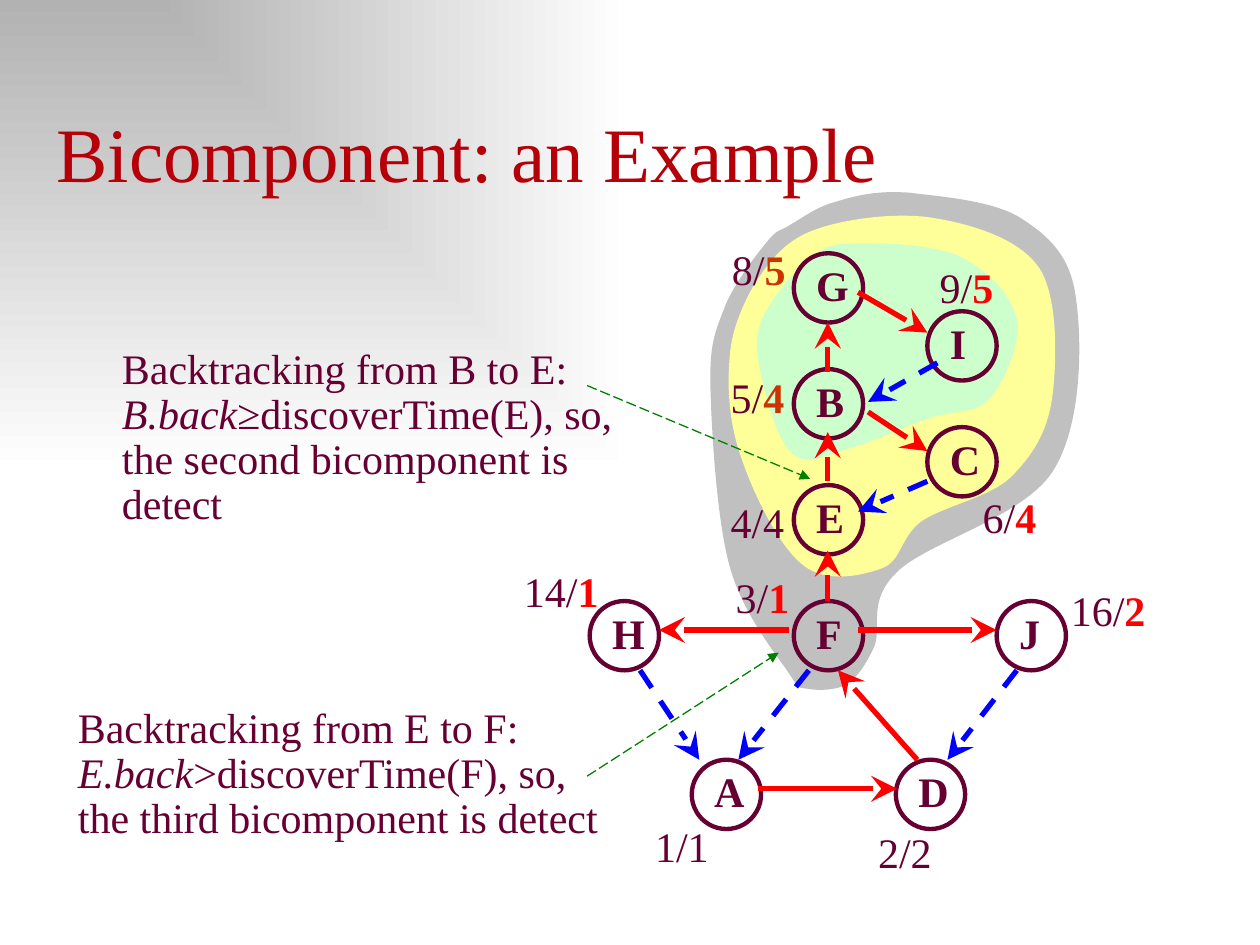
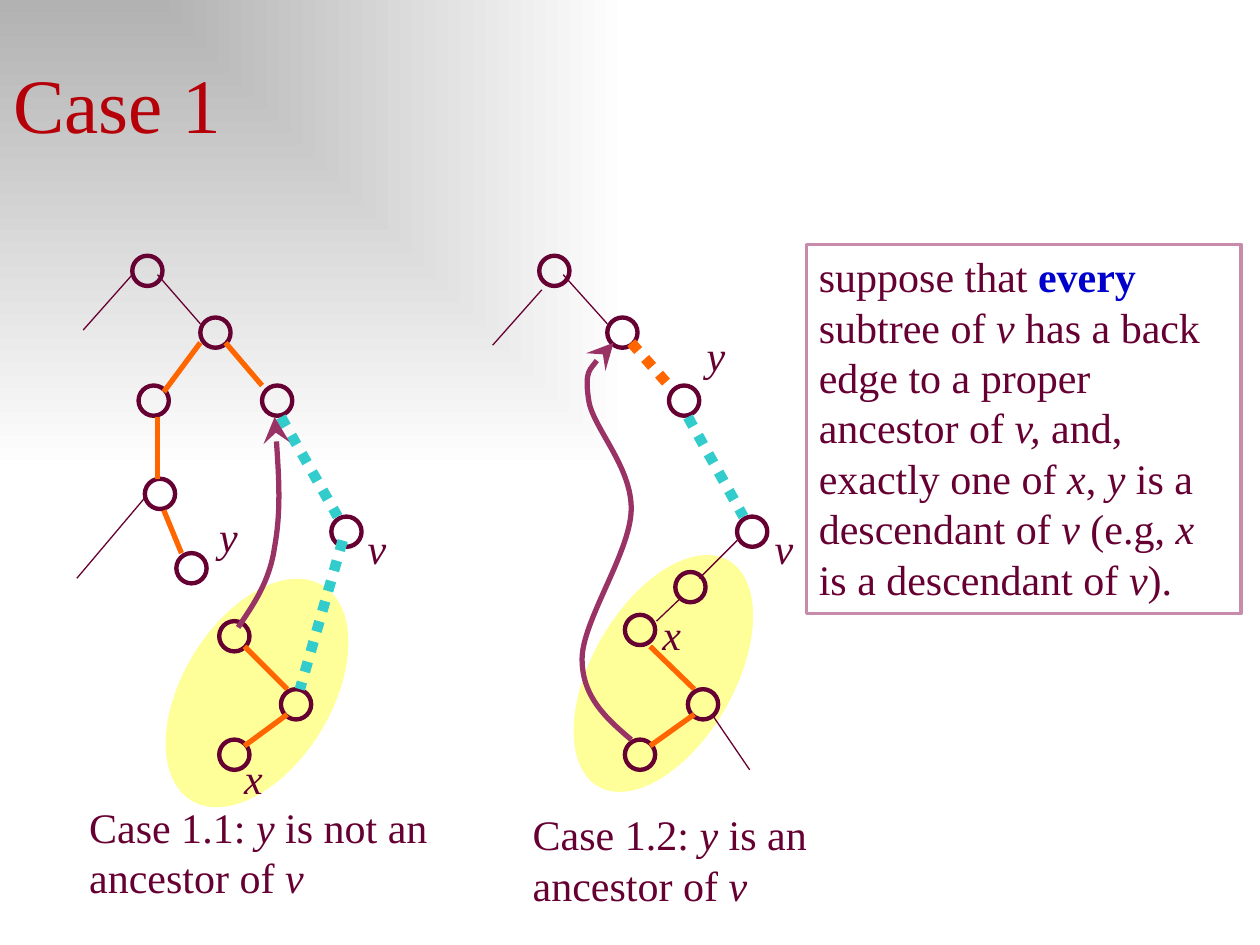
"""Build two slides on biconnected components: a worked example and a proof case."""
from lxml import etree
from pptx import Presentation
from pptx.dml.color import RGBColor
from pptx.enum import dml, shapes as kinds, text
from pptx.oxml.ns import qn
from pptx.util import Inches, Pt

FONT = "Times New Roman"
PLUM = RGBColor(0x66, 0x00, 0x33)
CRIMSON = RGBColor(0xB6, 0x00, 0x09)
RED = RGBColor(0xFF, 0x00, 0x00)
RUST = RGBColor(0xCC, 0x33, 0x00)
BLUE = RGBColor(0x00, 0x00, 0xFF)
NAVY = RGBColor(0x00, 0x00, 0xCC)
GREEN = RGBColor(0x00, 0x80, 0x00)
ORANGE = RGBColor(0xFF, 0x66, 0x00)
TEAL = RGBColor(0x33, 0xCC, 0xCC)
MAUVE = RGBColor(0x99, 0x33, 0x66)
PINK = RGBColor(0xC9, 0x8B, 0xAA)
SILVER = RGBColor(0xC0, 0xC0, 0xC0)
YELLOW = RGBColor(0xFF, 0xFF, 0x99)
MINT = RGBColor(0xCC, 0xFF, 0xCC)
GRAY = RGBColor(0xB2, 0xB2, 0xB2)
WHITE = RGBColor(0xFF, 0xFF, 0xFF)

RUN_STYLES = {
    "plain": ({"size": Pt(24)}, PLUM),
    "italic": ({"size": Pt(24), "italic": True}, PLUM),
    "node": ({"size": Pt(24), "bold": True}, PLUM),
    "red": ({"size": Pt(24), "bold": True}, RED),
    "rust": ({"size": Pt(24), "bold": True}, RUST),
    "every": ({"size": Pt(24), "bold": True}, NAVY),
    "title": ({"size": Pt(44)}, CRIMSON),
}
LINE_STYLES = {
    "tree edge": {"color": RED, "width": 3, "arrow": "stealth"},
    "back edge": {"color": BLUE, "width": 3, "dash": dml.MSO_LINE.DASH, "arrow": "stealth"},
    "pointer": {"color": GREEN, "width": 0.75, "dash": dml.MSO_LINE.LONG_DASH, "arrow": "triangle"},
    "branch": {"color": PLUM, "width": 0.75},
    "walk": {"color": ORANGE, "width": 3},
    "dotted walk": {"color": ORANGE, "width": 6, "dash": dml.MSO_LINE.ROUND_DOT},
    "dotted link": {"color": TEAL, "width": 6, "dash": dml.MSO_LINE.ROUND_DOT},
    "back curve": {"color": MAUVE, "width": 3, "arrow": "stealth"},
    "outline": {"color": PLUM, "width": 2.5},
    "frame": {"color": PINK, "width": 2},
}

COMPONENTS = [
    (SILVER, [
        (6.64, 1.6), (6.48, 1.64), (6.37, 1.73), (6.28, 1.78), (6.19, 1.84), (6.17, 1.81), (6.08, 1.93),
        (5.99, 2.04), (5.81, 2.27), (5.74, 2.47), (5.66, 2.67), (5.63, 2.77), (5.64, 3.11),
        (5.65, 3.45), (5.69, 4.12), (5.79, 4.49), (5.89, 4.86), (6.15, 5.18), (6.26, 5.34),
        (6.36, 5.5), (6.35, 5.45), (6.43, 5.47), (6.5, 5.48), (6.64, 5.48), (6.72, 5.43),
        (6.81, 5.37), (6.87, 5.28), (6.94, 5.13), (7, 4.98), (6.88, 4.77), (7.12, 4.54),
        (7.35, 4.31), (8.11, 4.11), (8.35, 3.75), (8.59, 3.39), (8.59, 2.71), (8.54, 2.37),
        (8.5, 2.03), (8.32, 1.87), (8.1, 1.73), (7.88, 1.59), (7.46, 1.56), (7.22, 1.53),
        (6.97, 1.51), (6.8, 1.55), (6.64, 1.6)]),
    (YELLOW, [
        (6.45, 1.83), (6.21, 1.92), (6.09, 2.1), (5.98, 2.27), (5.88, 2.45), (5.8, 2.64), (5.79, 2.86),
        (5.77, 3.09), (5.79, 3.38), (5.89, 3.65), (5.98, 3.92), (6.19, 4.35), (6.38, 4.49),
        (6.56, 4.63), (6.84, 4.57), (7, 4.51), (7.16, 4.45), (7.14, 4.27), (7.31, 4.14),
        (7.48, 4.02), (7.85, 3.95), (8.02, 3.79), (8.19, 3.62), (8.31, 3.44), (8.35, 3.16),
        (8.39, 2.88), (8.4, 2.36), (8.25, 2.13), (8.09, 1.89), (7.71, 1.78), (7.41, 1.73),
        (7.11, 1.68), (6.68, 1.74), (6.45, 1.83)]),
    (MINT, [
        (6.84, 1.93), (6.64, 1.93), (6.57, 1.94), (6.44, 2.04), (6.31, 2.14), (6.12, 2.37), (6.05, 2.53),
        (5.98, 2.69), (6.01, 2.84), (6.05, 3.02), (6.09, 3.2), (6.18, 3.52), (6.3, 3.61),
        (6.41, 3.7), (6.56, 3.61), (6.74, 3.56), (6.92, 3.51), (7.19, 3.38), (7.38, 3.32),
        (7.56, 3.25), (7.74, 3.3), (7.86, 3.16), (7.97, 3.03), (8.11, 2.72), (8.07, 2.53),
        (8.03, 2.34), (7.83, 2.14), (7.63, 2.04), (7.42, 1.94), (7.03, 1.93), (6.84, 1.93)]),
]
GRAPH_NODES = {
    "G": (6.3, 2.01), "B": (6.3, 2.93), "E": (6.3, 3.85), "F": (6.3, 4.77),
    "I": (7.36, 2.47), "C": (7.36, 3.39), "H": (4.68, 4.77), "J": (7.91, 4.77),
    "A": (5.49, 6.03), "D": (7.11, 6.03),
}
GRAPH_EDGES = {
    "tree edge": [
        (6.57, 2.95, 6.57, 2.56), (6.57, 3.82, 6.57, 3.43), (6.57, 4.77, 6.57, 4.37),
        (6.81, 2.32, 7.36, 2.64), (6.89, 3.27, 7.36, 3.58), (6.26, 5, 5.23, 5),
        (6.81, 5, 7.91, 5), (6.02, 6.26, 7.12, 6.26), (7.28, 6.03, 6.65, 5.32)],
    "back edge": [
        (7.44, 2.88, 6.89, 3.19), (7.36, 3.82, 6.81, 4.06), (5.08, 5.32, 5.55, 6.03),
        (8.07, 5.32, 7.52, 6.03), (6.42, 5.32, 5.86, 6.03)],
    "pointer": [(4.66, 3.06, 6.43, 3.8), (4.66, 6.16, 6.18, 5.18)],
}
TIME_LABELS = [
    (5.1, 6.46, "1/", "1", "plain"), (6.87, 6.51, "2/", "2", "plain"),
    (5.74, 4.49, "3/", "1", "red"), (5.7, 3.89, "4/", "4", "plain"),
    (5.7, 2.9, "5/", "4", "rust"), (7.7, 3.85, "6/", "4", "red"),
    (5.71, 1.88, "8/", "5", "rust"), (7.36, 2.03, "9/", "5", "red"),
    (4.06, 4.44, "14/", "1", "red"), (8.4, 4.59, "16/", "2", "red"),
]
BACKTRACKING_NOTES = [
    ((0.87, 2.67, 4.43, 1.6), "Backtracking from B to E:", "B.back",
     "≥discoverTime(E), so, the second bicomponent is detect"),
    ((0.52, 5.52, 4.43, 1.23), "Backtracking from E to F:", "E.back",
     ">discoverTime(F), so, the third bicomponent is detect"),
]

SUBTREES = [((4.23, 4.78, 2.07, 1.13), 300), ((1.04, 4.91, 2, 1.18), 301.5)]
TREE_NODES = [
    (1.05, 2.03), (1.1, 3.06), (1.59, 2.52), (1.15, 3.8), (1.4, 4.39), (2.08, 3.06),
    (2.23, 5.47), (1.74, 4.93), (1.74, 5.87), (2.63, 4.1),
    (4.28, 2.03), (4.82, 2.52), (5.31, 3.06), (5.46, 5.47), (5.36, 4.54), (4.96, 5.87),
    (5.85, 4.1), (4.96, 4.88),
]
TREE_EDGES = {
    "branch": [
        (1.05, 2.18, 0.66, 2.62), (1.25, 2.18, 1.59, 2.57), (1.15, 3.95, 0.61, 4.59),
        (4.3, 2.3, 3.91, 2.74), (4.47, 2.18, 4.82, 2.57), (5.21, 4.93, 5.41, 4.74),
        (5.55, 4.59, 5.85, 4.29), (5.65, 5.67, 5.95, 6.11)],
    "walk": [
        (1.59, 2.72, 1.3, 3.11), (1.25, 3.31, 1.25, 3.8), (1.3, 4.05, 1.44, 4.39),
        (1.79, 2.72, 2.08, 3.06), (2.28, 5.67, 1.94, 5.92), (2.28, 5.47, 1.94, 5.13),
        (5.51, 5.67, 5.16, 5.92), (5.51, 5.47, 5.16, 5.13)],
    "dotted walk": [(5.01, 2.72, 5.31, 3.06)],
    "dotted link": [(2.23, 3.31, 2.68, 4.1), (2.72, 4.29, 2.38, 5.47), (5.46, 3.31, 5.9, 4.1)],
}
BACK_CURVES = [
    [(1.89, 4.98), (2.01, 4.8), (2.14, 4.62), (2.18, 4.34), (2.23, 4.06), (2.21, 3.68), (2.18, 3.31)],
    [(5.01, 5.87), (4.81, 5.7), (4.62, 5.53), (4.62, 5.23), (4.62, 4.93), (5, 4.39), (5.01, 4.05),
     (5.02, 3.7), (4.69, 3.38), (4.67, 3.16), (4.64, 2.94), (4.75, 2.83), (4.87, 2.72)],
]
VERTEX_LABELS = [
    (1.84, 5.92, "x"), (1.64, 4, "y"), (2.82, 4.1, "v"),
    (5.16, 4.78, "x"), (5.51, 2.57, "y"), (6.05, 4.1, "v"),
]
ASSUMPTION_BOX = (6.4, 1.94, 3.45, 2.93)
ASSUMPTION = [
    ("suppose that ", "plain"), ("every", "every"), (" subtree of ", "plain"), ("v", "italic"),
    (" has a back edge to a proper ancestor of ", "plain"), ("v, ", "italic"),
    ("and, exactly one of ", "plain"), ("x", "italic"), (", ", "plain"), ("y ", "italic"),
    ("is a descendant of ", "plain"), ("v ", "italic"), ("(e.g, ", "plain"), ("x", "italic"),
    (" is a descendant of ", "plain"), ("v", "italic"), (").", "plain"),
]
CASES = [
    ((0.61, 6.31, 3.2, 0.91), "Case 1.1: ", " is not an ancestor of "),
    ((4.13, 6.37, 2.76, 0.91), "Case 1.2: ", " is an ancestor of "),
]


def inches(values):
    return [Inches(value) for value in values]


def style_line(shape, name):
    style = LINE_STYLES[name]
    shape.line.color.rgb = style["color"]
    shape.line.width = Pt(style["width"])
    if "dash" in style:
        shape.line.dash_style = style["dash"]
    if "arrow" in style:
        size = "lg" if style["arrow"] == "stealth" else "med"
        outline = shape.element.spPr.find(qn("a:ln"))
        etree.SubElement(outline, qn("a:tailEnd"), type=style["arrow"], w=size, len=size)


def style_shape(shape, fill=None, line=None):
    shape.shadow.inherit = False
    if fill is None:
        shape.fill.background()
    else:
        shape.fill.solid()
        shape.fill.fore_color.rgb = fill
    if line is None:
        shape.line.fill.background()
    else:
        style_line(shape, line)


def write(shape, paragraphs, anchor=text.MSO_ANCHOR.TOP):
    frame = shape.text_frame
    frame.word_wrap = True
    frame.vertical_anchor = anchor
    for index, runs in enumerate(paragraphs):
        paragraph = frame.add_paragraph() if index else frame.paragraphs[0]
        paragraph.alignment = text.PP_ALIGN.LEFT
        if index:
            paragraph.line_spacing = 0.9
        for words, style in runs:
            run = paragraph.add_run()
            run.text = words
            attributes, color = RUN_STYLES[style]
            for name, value in {"name": FONT, **attributes}.items():
                setattr(run.font, name, value)
            run.font.color.rgb = color


def add_text(shapes, box, *paragraphs, **options):
    write(shapes.add_textbox(*inches(box)), paragraphs, **options)


def add_preset(shapes, kind, box, fill=None, line=None):
    shape = shapes.add_shape(kind, *inches(box))
    style_shape(shape, fill, line)
    return shape


def add_edges(shapes, edges):
    for style, ends in edges.items():
        for end in ends:
            connector = shapes.add_connector(kinds.MSO_CONNECTOR.STRAIGHT, *inches(end))
            style_line(connector, style)
            etree.SubElement(connector.element.spPr, qn("a:effectLst"))


def add_curve(shapes, points, fill=None, line=None):
    start, *rest = [inches(point) for point in points]
    builder = shapes.build_freeform(*start)
    builder.add_line_segments(rest, close=fill is not None)
    shape = builder.convert_to_shape()
    segments = list(shape.element.iter(qn("a:lnTo")))
    for first, second, third in zip(segments[::3], segments[1::3], segments[2::3]):
        curve = etree.Element(qn("a:cubicBezTo"))
        first.addprevious(curve)
        for segment in (first, second, third):
            curve.append(segment[0])
            segment.getparent().remove(segment)
    style_shape(shape, fill, line)


def set_background(master):
    fill = master.background.fill
    fill.gradient()
    for stop, color in zip(fill.gradient_stops, (GRAY, WHITE)):
        stop.color.rgb = color
    gradient = master.element.find(".//" + qn("a:gradFill"))
    gradient.remove(gradient.find(qn("a:lin")))
    shade = etree.SubElement(gradient, qn("a:path"), path="rect")
    etree.SubElement(shade, qn("a:fillToRect"), r="100000", b="100000")


def add_title(shapes, box, words):
    add_text(shapes, box, [(words, "title")], anchor=text.MSO_ANCHOR.BOTTOM)


def build_example(shapes):
    for color, points in COMPONENTS:
        add_curve(shapes, points, fill=color)
    add_title(shapes, (0.35, 0.79, 9.45, 0.83), "Bicomponent: an Example")
    for name, (left, top) in GRAPH_NODES.items():
        node = shapes.add_group_shape().shapes
        add_preset(node, kinds.MSO_SHAPE.OVAL, (left, top, 0.55, 0.55), line="outline")
        add_text(node, (left + 0.08, top, 0.47, 0.5), [(name, "node")])
    add_edges(shapes, GRAPH_EDGES)
    for left, top, discovered, back, style in TIME_LABELS:
        add_text(shapes, (left, top, 1.48, 0.5), [(discovered, "plain"), (back, style)])
    for box, heading, variable, conclusion in BACKTRACKING_NOTES:
        add_text(shapes, box, [(heading, "plain")], [(variable, "italic"), (conclusion, "plain")])


def build_case(shapes):
    for box, angle in SUBTREES:
        add_preset(shapes, kinds.MSO_SHAPE.OVAL, box, fill=YELLOW).rotation = angle
    add_title(shapes, (0.01, 0.4, 2.04, 0.83), "Case 1")
    for left, top in TREE_NODES:
        add_preset(shapes, kinds.MSO_SHAPE.OVAL, (left, top, 0.24, 0.24), line="outline")
    add_edges(shapes, TREE_EDGES)
    for points in BACK_CURVES:
        add_curve(shapes, points, line="back curve")
    for left, top, name in VERTEX_LABELS:
        add_text(shapes, (left, top, 0.34, 0.5), [(name, "italic")])
    frame = add_preset(shapes, kinds.MSO_SHAPE.RECTANGLE, ASSUMPTION_BOX, WHITE, "frame")
    write(frame, [ASSUMPTION])
    for box, heading, relation in CASES:
        add_text(shapes, box, [(heading, "plain"), ("y", "italic"), (relation, "plain"), ("v", "italic")])


def main():
    presentation = Presentation()
    presentation.slide_width, presentation.slide_height = Inches(10), Inches(7.5)
    set_background(presentation.slide_master)
    for build in (build_example, build_case):
        build(presentation.slides.add_slide(presentation.slide_layouts[6]).shapes)
    presentation.save("out.pptx")


if __name__ == "__main__":
    main()
